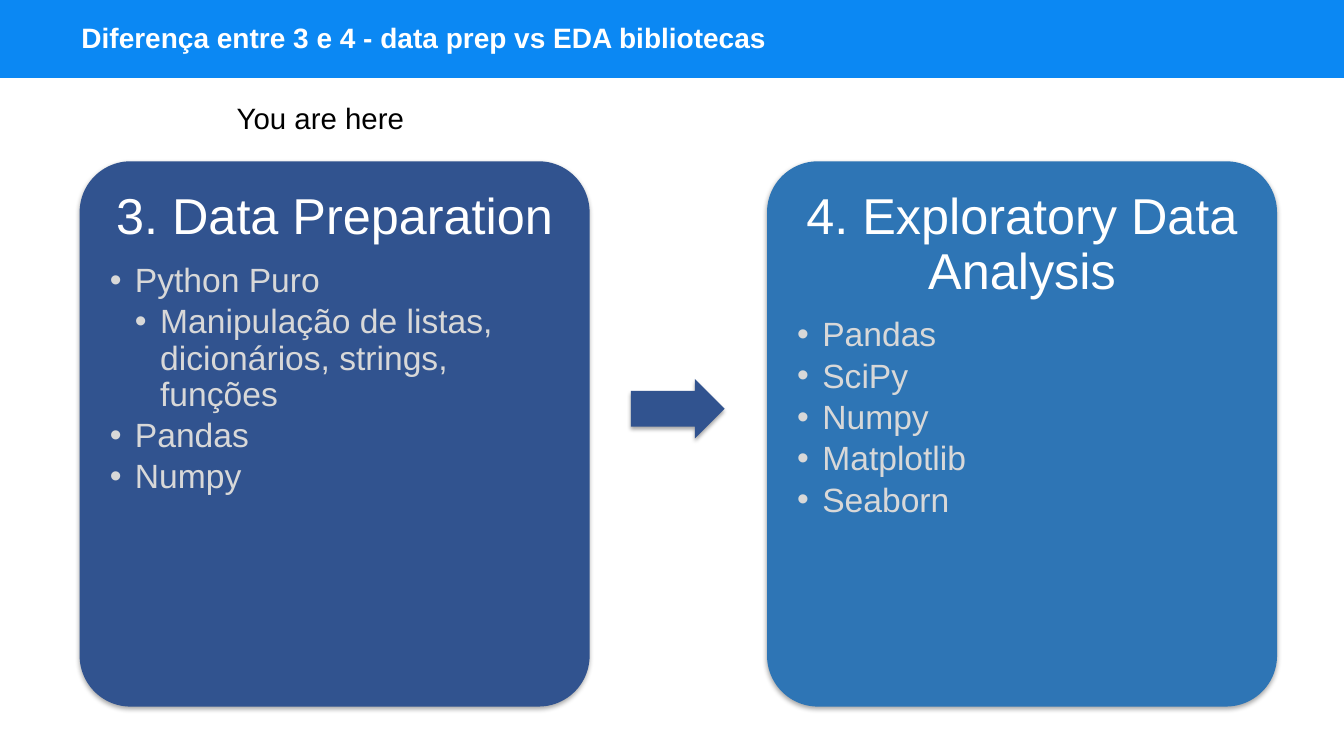
from lxml.etree import SubElement
from pptx import Presentation
from pptx.dml.color import RGBColor
from pptx.enum.shapes import MSO_SHAPE
from pptx.enum.text import MSO_ANCHOR, PP_ALIGN
from pptx.oxml.ns import qn
from pptx.util import Pt

COLORS = {
    "banner": "0B88F3",
    "navy": "31538F",
    "blue": "2E75B5",
    "white": "FFFFFF",
    "black": "000000",
    "bullet": "D8D8D8",
}


def add_block(kind, left, top, width, height, color, shadow=True):
    shape = slide.shapes.add_shape(kind, Pt(left), Pt(top), Pt(width), Pt(height))
    shape.fill.solid()
    shape.fill.fore_color.rgb = RGBColor.from_string(COLORS[color])
    shape.line.fill.background()
    shape.shadow.inherit = False
    if shadow:
        effects = shape._element.spPr.find(qn("a:effectLst"))
        outer = SubElement(effects, qn("a:outerShdw"), blurRad=str(Pt(3.1)),
                           dist=str(Pt(1.8)), dir="5400000", rotWithShape="0")
        tint = SubElement(outer, qn("a:srgbClr"), val=COLORS["black"])
        SubElement(tint, qn("a:alpha"), val="35000")
    return shape


def format_text(paragraph, size, color, bold=False):
    for run in paragraph.runs:
        run.font.name = "Arial"
        run.font.size = Pt(size)
        run.font.bold = bold
        run.font.color.rgb = RGBColor.from_string(COLORS[color])


presentation = Presentation()
presentation.slide_width = Pt(960)
presentation.slide_height = Pt(540)
slide = presentation.slides.add_slide(presentation.slide_layouts[6])

add_block(MSO_SHAPE.RECTANGLE, 0, 0, 960, 55.6, "banner", shadow=False)
title = slide.shapes.add_textbox(Pt(51.1), Pt(0), Pt(828), Pt(55.6))
title.text_frame.word_wrap = True
title.text_frame.vertical_anchor = MSO_ANCHOR.MIDDLE
title.text_frame.text = "Diferença entre 3 e 4 - data prep vs EDA bibliotecas"
title.text_frame.paragraphs[0].line_spacing = 0.9
format_text(title.text_frame.paragraphs[0], 20, "white", bold=True)

label = slide.shapes.add_textbox(Pt(162), Pt(67.7), Pt(134.6), Pt(28.8))
label.text_frame.word_wrap = False
label.text_frame.text = "You are here"
format_text(label.text_frame.paragraphs[0], 21, "black")

cards = [
    (56.9, "navy", "3. Data Preparation", [
        (1, "Python Puro"),
        (2, "Manipulação de listas, dicionários, strings, funções"),
        (1, "Pandas"),
        (1, "Numpy"),
    ]),
    (547.9, "blue", "4. Exploratory Data Analysis", [
        (1, "Pandas"),
        (1, "SciPy"),
        (1, "Numpy"),
        (1, "Matplotlib"),
        (1, "Seaborn"),
    ]),
]
card_top, card_width, card_height, inset = 115.2, 364.3, 389.5, 10.7

for left, color, heading, libraries in cards:
    card = add_block(MSO_SHAPE.ROUNDED_RECTANGLE, left, card_top, card_width, card_height, color)
    card.adjustments[0] = 0.1

    content = slide.shapes.add_textbox(
        Pt(left + inset), Pt(card_top + inset),
        Pt(card_width - 2 * inset), Pt(card_height - 2 * inset))
    frame = content.text_frame
    frame.word_wrap = True
    frame.margin_left = frame.margin_right = Pt(10.8)
    frame.margin_top = frame.margin_bottom = Pt(10.8)
    frame.text = heading
    frame.paragraphs[0].alignment = PP_ALIGN.CENTER
    frame.paragraphs[0].line_spacing = 0.9
    format_text(frame.paragraphs[0], 36, "white")

    for index, (level, library) in enumerate(libraries):
        paragraph = frame.add_paragraph()
        paragraph.text = library
        paragraph.level = level
        paragraph.line_spacing = 0.9
        paragraph.space_before = Pt(3.6 if index else 12.6)
        format_text(paragraph, 24, "bullet")
        properties = paragraph._p.get_or_add_pPr()
        properties.set("marL", str(Pt(18 * level)))
        properties.set("indent", str(Pt(-18)))
        bullet_color = SubElement(properties, qn("a:buClr"))
        SubElement(bullet_color, qn("a:srgbClr"), val=COLORS["bullet"])
        SubElement(properties, qn("a:buFont"), typeface="Arial")
        SubElement(properties, qn("a:buChar"), char="•")

arrow = add_block(MSO_SHAPE.RIGHT_ARROW, 450.6, 270.7, 67, 42.5, "navy")
arrow.adjustments[0] = 0.6
arrow.adjustments[1] = 0.5

presentation.save("out.pptx")
